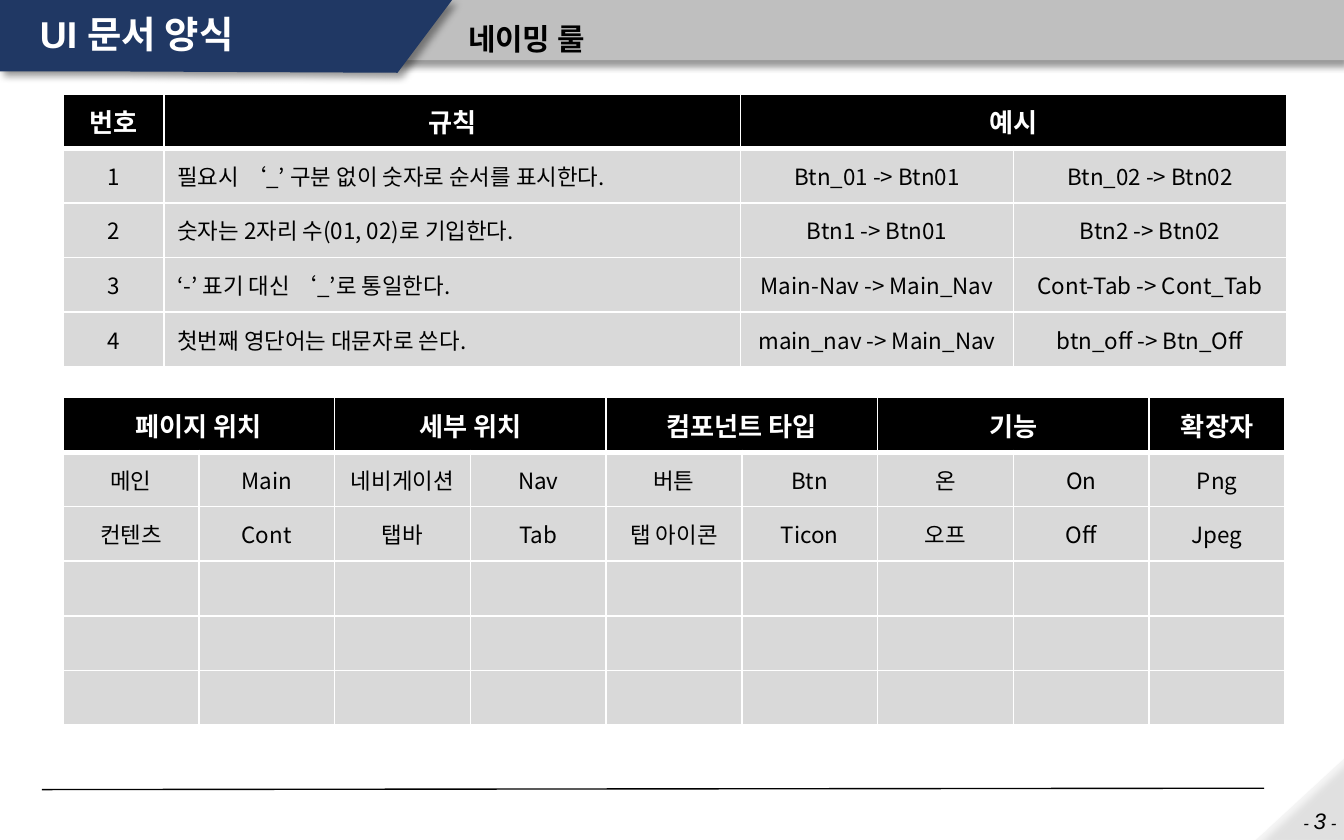
from typing import NamedTuple

from lxml.etree import SubElement
from pptx import Presentation
from pptx.dml.color import RGBColor
from pptx.enum.shapes import MSO_CONNECTOR as Link, MSO_SHAPE as Kind
from pptx.enum.text import MSO_ANCHOR as Anchor, PP_ALIGN as Align
from pptx.oxml import parse_xml
from pptx.oxml.ns import nsdecls, qn
from pptx.util import Pt

PX = 9525  # EMU in one px, 96 px to the inch
ROW = 39
KOREAN = "Noto Sans CJK KR"
BLACK, WHITE, CELL = "000000", "FFFFFF", "D9D9D9"


class Box(NamedTuple):
    x: int
    y: int
    w: int
    h: int

    def emu(self) -> list[int]:
        return [v * PX for v in self]


class Font(NamedTuple):
    size: int
    color: str = BLACK
    bold: bool = False
    italic: bool = False
    face: str = "Arial"


class Grid(NamedTuple):
    x: int
    y: int
    cols: list[int]
    rows: list[list[str | None]]  # None continues the cell to its left
    left: tuple[int, ...] = ()  # columns whose body text is left-aligned


HEAD = Font(14, WHITE, bold=True, face=KOREAN)
BODY = Font(12, face=KOREAN)

PLACES = Grid(45, 284, [97] * 9, [
    ["페이지 위치", None, "세부 위치", None, "컴포넌트 타입", None, "기능", None, "확장자"],
    ["메인", "Main", "네비게이션", "Nav", "버튼", "Btn", "온", "On", "Png"],
    ["컨텐츠", "Cont", "탭바", "Tab", "탭 아이콘", "Ticon", "오프", "Off", "Jpeg"],
    *[[""] * 9 for _ in range(3)],
])
RULES = Grid(45, 67, [72, 412, 195, 195], [
    ["번호", "규칙", "예시", None],
    ["1", "필요시 ‘_’ 구분 없이 숫자로 순서를 표시한다.", "Btn_01 -> Btn01", "Btn_02 -> Btn02"],
    ["2", "숫자는 2자리 수(01, 02)로 기입한다.", "Btn1 -> Btn01", "Btn2 -> Btn02"],
    ["3", "‘-’ 표기 대신 ‘_’로 통일한다.", "Main-Nav -> Main_Nav", "Cont-Tab -> Cont_Tab"],
    ["4", "첫번째 영단어는 대문자로 쓴다.", "main_nav -> Main_Nav", "btn_off -> Btn_Off"],
], left=(1,))


def rgb(code: str) -> RGBColor:
    return RGBColor.from_string(code)


def paint(shape, color: str, angle: int) -> None:
    """Flat fill, no outline, soft shadow falling at the angle."""
    shape.fill.solid()
    shape.fill.fore_color.rgb = rgb(color)
    shape.line.fill.background()
    shape._element.spPr.append(parse_xml(
        f'<a:effectLst {nsdecls("a")}><a:outerShdw blurRad="{Pt(4)}" dist="{Pt(3)}" '
        f'dir="{angle * 60000}" algn="t" rotWithShape="0"><a:srgbClr val="{BLACK}">'
        '<a:alpha val="40000"/></a:srgbClr></a:outerShdw></a:effectLst>'))


def write(para, text: str, font: Font) -> None:
    run = para.add_run()
    run.text = text
    look = run.font
    look.size, look.bold, look.italic = Pt(font.size), font.bold, font.italic
    look.name, look.color.rgb = font.face, rgb(font.color)
    SubElement(run._r.get_or_add_rPr(), qn("a:ea"), typeface=KOREAN)


def label(slide, box: Box, runs: list[tuple[str, Font]], space: float = 1,
          align=Align.LEFT, anchor=Anchor.MIDDLE) -> None:
    frame = slide.shapes.add_textbox(*box.emu()).text_frame
    frame.word_wrap, frame.vertical_anchor = True, anchor
    para = frame.paragraphs[0]
    para.alignment, para.line_spacing = align, space
    for text, font in runs:
        write(para, text, font)


def edge(cell, top: int, bottom: int) -> None:
    """White borders; the widths of top and bottom are in points."""
    props = cell._tc.get_or_add_tcPr()
    for i, (side, wide) in enumerate(zip("LRTB", (1, 1, top, bottom))):
        props.insert(i, parse_xml(
            f'<a:ln{side} {nsdecls("a")} w="{Pt(wide)}"><a:solidFill>'
            f'<a:srgbClr val="{WHITE}"/></a:solidFill></a:ln{side}>'))


def draw(slide, grid: Grid) -> None:
    box = Box(grid.x, grid.y, sum(grid.cols), ROW * len(grid.rows))
    table = slide.shapes.add_table(len(grid.rows), len(grid.cols), *box.emu()).table
    table.first_row = table.horz_banding = False
    for col, wide in zip(table.columns, grid.cols):
        col.width = wide * PX
    for r, row in enumerate(grid.rows):
        table.rows[r].height = ROW * PX
        font = BODY if r else HEAD
        for c, text in enumerate(row):
            cell = table.cell(r, c)
            cell.vertical_anchor = Anchor.MIDDLE
            cell.fill.solid()
            cell.fill.fore_color.rgb = rgb(CELL if r else BLACK)
            edge(cell, 3 if r == 1 else 1, 1 if r else 3)
            para = cell.text_frame.paragraphs[0]
            para.alignment = Align.LEFT if r and c in grid.left else Align.CENTER
            if text:
                write(para, text, font)
            else:  # keeps an empty cell from growing
                SubElement(para._p, qn("a:endParaRPr"), sz=str(font.size * 100))
            if text is None:
                table.cell(r, c - 1).merge(cell)


def main() -> None:
    deck = Presentation()
    deck.slide_width, deck.slide_height = 960 * PX, 600 * PX
    slide = deck.slides.add_slide(deck.slide_layouts[6])
    shapes = slide.shapes

    # Header band and title tab
    band = shapes.add_shape(Kind.RECTANGLE, *Box(0, 0, 960, 43).emu())
    paint(band, "BFBFBF", 90)
    pen = shapes.build_freeform(0, 0, scale=PX)
    pen.add_line_segments([(323, 0), (284, 52), (67, 51), (0, 51)], close=True)
    paint(pen.convert_to_shape(), "203864", 45)

    # Page corner, number and footer rule
    corner = shapes.add_shape(Kind.RIGHT_TRIANGLE, *Box(899, 539, 59, 64).emu())
    corner.rotation = 270
    paint(corner, "F2F2F2", 45)
    tint = corner._element.spPr.find(qn("a:solidFill"))[0]
    SubElement(tint, qn("a:alpha"), val="70000")
    small, large = Font(9, italic=True), Font(12, italic=True)
    label(slide, Box(858, 572, 106, 19), [("- ", small), ("3", large), (" -", small)],
          align=Align.RIGHT, anchor=Anchor.TOP)
    rule = shapes.add_connector(Link.STRAIGHT, 30 * PX, 564 * PX, 903 * PX, 563 * PX)
    rule.line.color.rgb, rule.line.width = rgb(BLACK), Pt(0.75)
    SubElement(rule._element.spPr, qn("a:effectLst"))

    # Titles
    label(slide, Box(19, 0, 287, 52), [("UI 문서 양식", Font(20, WHITE, bold=True))], 0.9)
    label(slide, Box(325, 0, 635, 43), [("네이밍 룰", Font(16, bold=True))], 1.5)

    # Tables
    for grid in (PLACES, RULES):
        draw(slide, grid)

    deck.save("out.pptx")


if __name__ == "__main__":
    main()
